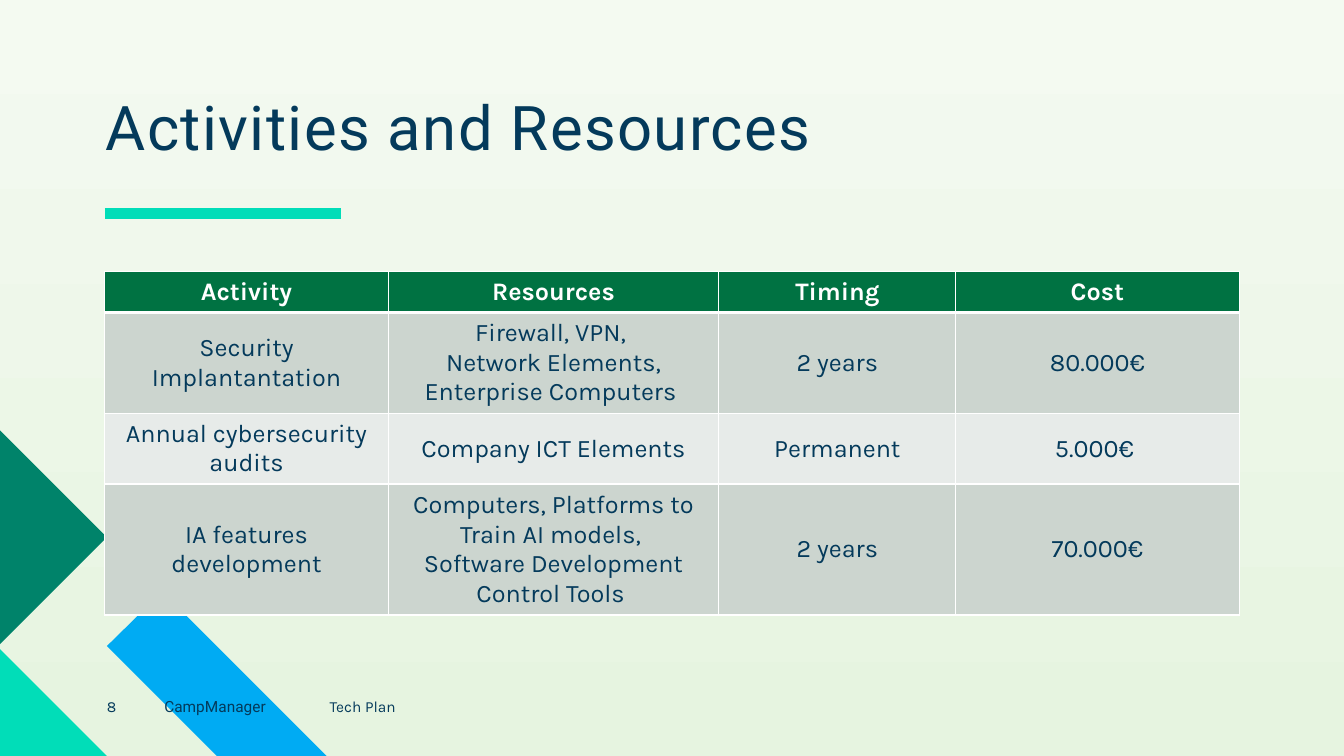
from dataclasses import dataclass

from lxml import etree
from pptx import Presentation
from pptx.dml.color import RGBColor
from pptx.enum.shapes import MSO_CONNECTOR
from pptx.enum.text import MSO_ANCHOR, PP_ALIGN
from pptx.oxml.ns import qn
from pptx.util import Inches, Pt

LINE = MSO_CONNECTOR.STRAIGHT
TOP, MIDDLE, BOTTOM = MSO_ANCHOR.TOP, MSO_ANCHOR.MIDDLE, MSO_ANCHOR.BOTTOM
CENTER = PP_ALIGN.CENTER


@dataclass(frozen=True)
class Theme:
    ink: str = "043A5B"
    white: str = "FFFFFF"
    mint: str = "01DDB8"
    teal: str = "00836A"
    blue: str = "00ABF3"
    head: str = "007242"
    bands: tuple = ("CCD5CF", "E7EBE9")
    sky: tuple = ("F4FAF1", "E6F4E0")
    title_font: str = "Roboto"
    body_font: str = "Karla"
    title: int = 44
    body: int = 18
    foot: int = 11


THEME = Theme()

SHAPES = [
    (THEME.blue, [(3.24, 7.5), (2.15, 7.5), (1.06, 6.41), (1.61, 5.87)]),
    (THEME.mint, [(1.06, 7.5), (0, 7.5), (0, 6.44)]),
    (THEME.teal, [(0, 4.27), (1.06, 5.33), (0, 6.39)]),
]
FOOTERS = [
    (1.06, 0.57, "8", THEME.body_font),
    (3.27, 1.44, "Tech Plan", THEME.body_font),
    (1.63, 1.64, "CampManager", THEME.title_font),
]
COLS = [2.81, 3.28, 2.35, 2.81]
HEIGHTS = [0.41, 0.98, 0.69, 1.28]
ROWS = [
    ["Activity", "Resources", "Timing", "Cost"],
    ["Security Implantantation",
     "Firewall, VPN, \nNetwork Elements, Enterprise Computers ",
     "2 years", "80.000€"],
    ["Annual cybersecurity audits", "Company ICT Elements",
     "Permanent", "5.000€ "],
    ["IA features development",
     "Computers, Platforms to Train AI models, \n"
     "Software Development Control Tools ",
     "2 years", "70.000€"],
]


def rgb(code):
    return RGBColor.from_string(code)


def add_run(para, text, size, font, color=THEME.ink, bold=False):
    run = para.add_run()
    run.text = text
    run.font.size = Pt(size)
    run.font.name = font
    run.font.bold = bold
    run.font.color.rgb = rgb(color)
    return run


def paint_back(slide):
    fill = slide.background.fill
    fill.gradient()
    fill.gradient_angle = 270
    for stop, color, place in zip(fill.gradient_stops, THEME.sky, (0, 1)):
        stop.color.rgb = rgb(color)
        stop.position = place


def add_shape(slide, color, points):
    points = [(Inches(x), Inches(y)) for x, y in points]
    form = slide.shapes.build_freeform(*points[0])
    form.add_line_segments(points[1:], close=True)
    shape = form.convert_to_shape()
    shape.shadow.inherit = False
    shape.fill.solid()
    shape.fill.fore_color.rgb = rgb(color)
    shape.line.fill.background()


def add_rule(slide, left, right, y):
    rule = slide.shapes.add_connector(
        LINE, Inches(left), Inches(y), Inches(right), Inches(y))
    rule.line.color.rgb = rgb(THEME.mint)
    rule.line.width = Pt(8)
    etree.SubElement(rule._element.spPr, qn("a:effectLst"))


def add_text(slide, box, text, size, font, anchor=TOP):
    frame = slide.shapes.add_textbox(*map(Inches, box)).text_frame
    frame.word_wrap = True
    frame.vertical_anchor = anchor
    frame.margin_left = frame.margin_right = 0
    frame.margin_top = frame.margin_bottom = 0
    para = frame.paragraphs[0]
    return para, add_run(para, text, size, font)


def set_edges(cell, widths):
    """Draw white cell borders; widths are points by side: L, R, T, B."""
    props = cell._tc.get_or_add_tcPr()
    for side, width in zip("LRTB", widths):
        edge = etree.SubElement(props, qn("a:ln" + side), w=str(Pt(width)))
        fill = etree.SubElement(edge, qn("a:solidFill"))
        etree.SubElement(fill, qn("a:srgbClr"), val=THEME.white)


def fill_cell(cell, text, row):
    head = row == 0
    set_edges(cell, (1, 1, 3 if row == 1 else 1, 3 if head else 1))
    cell.fill.solid()
    cell.fill.fore_color.rgb = rgb(
        THEME.head if head else THEME.bands[(row - 1) % 2])
    cell.vertical_anchor = MIDDLE
    frame = cell.text_frame
    for i, line in enumerate(text.split("\n")):
        para = frame.add_paragraph() if i else frame.paragraphs[0]
        para.alignment = CENTER
        add_run(para, line, THEME.body, THEME.body_font,
                THEME.white if head else THEME.ink, head)


def add_grid(slide, left, top):
    table = slide.shapes.add_table(
        len(ROWS), len(COLS), Inches(left), Inches(top),
        Inches(sum(COLS)), Inches(sum(HEIGHTS))).table
    for col, width in zip(table.columns, COLS):
        col.width = Inches(width)
    for r, (height, texts) in enumerate(zip(HEIGHTS, ROWS)):
        table.rows[r].height = Inches(height)
        for c, text in enumerate(texts):
            fill_cell(table.cell(r, c), text, r)


def main():
    deck = Presentation()
    deck.slide_width, deck.slide_height = Inches(13.33), Inches(7.5)
    slide = deck.slides.add_slide(deck.slide_layouts[6])
    paint_back(slide)
    for color, points in SHAPES:
        add_shape(slide, color, points)
    add_rule(slide, 1.04, 3.38, 2.12)
    para, run = add_text(slide, (1.05, 0.96, 11.38, 0.67),
                         "Activities and Resources", THEME.title,
                         THEME.title_font, BOTTOM)
    para.line_spacing = 0.9
    run.font._element.set("spc", "100")
    for left, width, text, font in FOOTERS:
        add_text(slide, (left, 6.92, width, 0.27), text, THEME.foot, font)
    add_grid(slide, 1.04, 2.69)
    deck.save("out.pptx")


if __name__ == "__main__":
    main()
